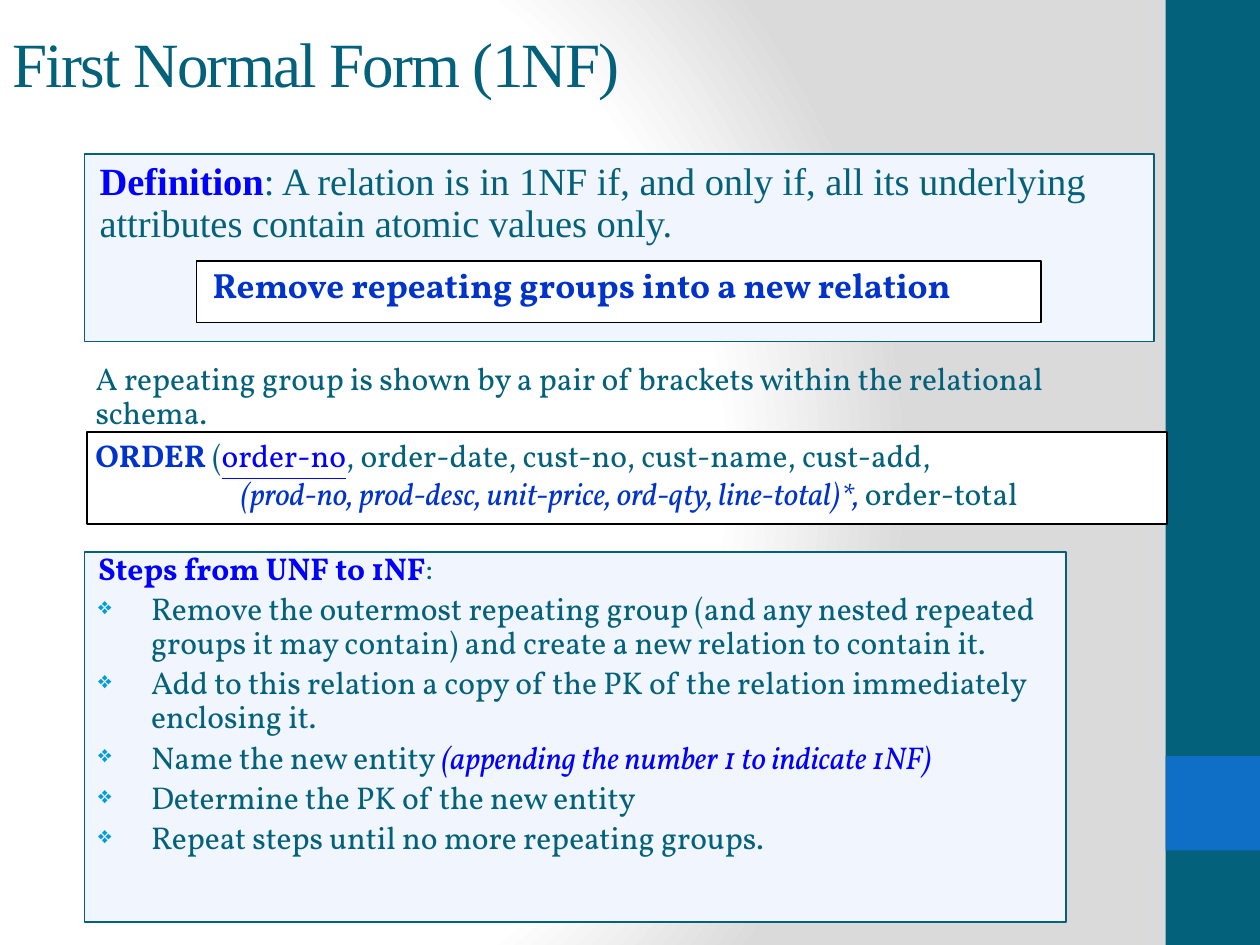
"""Builds the First Normal Form slide."""
from lxml import etree
from pptx import Presentation
from pptx.dml.color import RGBColor
from pptx.enum.shapes import MSO_SHAPE
from pptx.enum.text import MSO_ANCHOR, MSO_AUTO_SIZE, PP_ALIGN
from pptx.oxml import parse_xml
from pptx.oxml.ns import qn
from pptx.util import Inches, Pt

RECT = MSO_SHAPE.RECTANGLE
TOP, MID = MSO_ANCHOR.TOP, MSO_ANCHOR.MIDDLE
FIXED, GROW = MSO_AUTO_SIZE.NONE, MSO_AUTO_SIZE.SHAPE_TO_FIT_TEXT
LEFT = PP_ALIGN.LEFT
NS = "http://schemas.openxmlformats.org/drawingml/2006/main"

THEME = {
    "teal": "04617B", "band": "0F6FC6", "pale": "F0F5FE", "white": "FFFFFF",
    "black": "000000", "key": "0000FF", "navy": "0033CC", "mark": "009DD9",
    "serif": "Times New Roman", "body": "Vollkorn",
    "head": 36, "lead": 22, "rule": 20, "text": 18,
}
WIDE, HIGH, SIDE = 10, 7.5, 9.25
BOLD, ITAL, LINE = {"bold": True}, {"italic": True}, {"underline": True}

TITLE = [[("First Normal Form (1NF)", "teal", {})]]
DEFINE = [[
    ("Definition", "key", BOLD),
    (": A relation is in 1NF if, and only if, all its underlying "
     "attributes contain atomic values only.", "teal", {}),
]]
STEPS = [
    [("Steps from UNF to 1NF", "key", BOLD), (": ", "teal", {})],
    [("Remove the outermost repeating group (and any nested repeated groups "
      "it may contain) and create a new relation to contain it.", "teal", {})],
    [("Add to this relation a copy of the PK of the relation immediately "
      "enclosing it.", "teal", {})],
    [("Name the new entity ", "teal", {}),
     ("(appending the number 1 to indicate 1NF)", "key", ITAL)],
    [("Determine the PK of the new entity", "teal", {})],
    [("Repeat steps until no more repeating groups.", "teal", {})],
]
RULE = [[("Remove repeating groups into a new relation", "navy", BOLD)]]
NOTE = [[("A repeating group is shown by a pair of brackets within the "
          "relational schema.", "teal", {})]]
ORDER = [
    [("ORDER", "navy", BOLD), (" (", "teal", {}), ("order-no", "key", LINE),
     (", order-date, cust-no, cust-name, cust-add, ", "teal", {})],
    [("(prod-no, prod-desc, unit-price, ord-qty, line-total)*, ", "navy", ITAL),
     ("order-total", "teal", {})],
]

deck = Presentation()
deck.slide_width, deck.slide_height = Inches(WIDE), Inches(HIGH)
slide = deck.slides.add_slide(deck.slide_layouts[1])
tree = slide.shapes


def color(name):
    return RGBColor.from_string(THEME[name])


def place(shape, spot):
    for key, val in zip(("left", "top", "width", "height"), spot):
        setattr(shape, key, Inches(val))


def box(spot, fill, edge=None):
    shape = tree.add_shape(RECT, *map(Inches, spot))
    shape.shadow.inherit = False
    shape.fill.solid()
    shape.fill.fore_color.rgb = color(fill)
    if edge:
        shape.line.color.rgb = color(edge)
        shape.line.width = Pt(1)
    else:
        shape.line.fill.background()


def indent(para, left, hang=0, mark=None):
    prop = para._p.get_or_add_pPr()
    prop.set("marL", str(Inches(left)))
    prop.set("indent", str(-Inches(hang)))
    if mark:
        tint = etree.SubElement(prop, qn("a:buClr"))
        etree.SubElement(tint, qn("a:srgbClr"), val=THEME["mark"])
        etree.SubElement(prop, qn("a:buSzPct"), val="75000")
        etree.SubElement(prop, qn("a:buChar"), char=mark)
    else:
        etree.SubElement(prop, qn("a:buNone"))


def write(spot, paras, size, face="body", shape=None, fit=FIXED, anchor=TOP,
          wrap=True, space=None, gap=0):
    if shape is None:
        shape = tree.add_textbox(0, 0, 0, 0)
    else:
        tree._spTree.append(shape._element)
    place(shape, spot)
    frame = shape.text_frame
    look = {"word_wrap": wrap, "auto_size": fit, "vertical_anchor": anchor}
    for key, val in look.items():
        setattr(frame, key, val)
    for num, runs in enumerate(paras):
        para = frame.add_paragraph() if num else frame.paragraphs[0]
        form = {"alignment": LEFT, "line_spacing": space,
                "space_before": Pt(gap * THEME[size])}
        for key, val in form.items():
            setattr(para, key, val)
        for words, tone, style in runs:
            run = para.add_run()
            run.text = words
            font = {"name": THEME[face], "size": Pt(THEME[size]), **style}
            for key, val in font.items():
                setattr(run.font, key, val)
            run.font.color.rgb = color(tone)
    return frame.paragraphs


stops = "".join(f'<a:gs pos="{pos}"><a:srgbClr val="{tone}"/></a:gs>' for pos, tone in
                ((0, "FFFFFF"), (75000, "FFFFFF"), (100000, "DADADA")))
back = slide.background.fill
back.solid()
solid = slide._element.find(".//" + qn("p:bgPr")).find(qn("a:solidFill"))
solid.getparent().replace(solid, parse_xml(
    f'<a:gradFill xmlns:a="{NS}" rotWithShape="1"><a:gsLst>{stops}</a:gsLst>'
    '<a:path path="circle"><a:fillToRect l="20000" t="50000" r="100000" '
    'b="50000"/></a:path></a:gradFill>'))

title, body = tree.title, slide.placeholders[1]
box((SIDE, 0, WIDE - SIDE, HIGH), "teal")
box((SIDE, 6, WIDE - SIDE, 0.75), "band")
box((0.67, 1.22, 8.49, 1.49), "pale", "teal")
head = write((0, 0, WIDE, 0.99), TITLE, "head", "serif", title, anchor=MID)
head[0].runs[0].font._element.set("spc", "-100")
lead = write((0.69, 1.24, 8.54, 1.17), DEFINE, "lead", "serif", body,
             space=0.9, gap=0.2)
indent(lead[0], 0)

box((0.67, 4.38, 7.79, 2.94), "pale", "teal")
steps = write((0.68, 4.34, 7.78, 2.94), STEPS, "text", space=0.9, gap=0.2)
for num, para in enumerate(steps):
    indent(para, 0.42, 0.42, "❖" if num else None)

box((1.56, 2.07, 6.7, 0.49), "white", "black")
write((1.59, 2.04, 6.2, 0.44), RULE, "rule", fit=GROW, wrap=False)
write((0.66, 2.83, 8.55, 0.65), NOTE, "text", fit=GROW, space=0.9)
box((0.69, 3.43, 8.57, 0.73), "white", "black")
order = write((0.66, 3.41, 8.76, 0.81), ORDER, "text", fit=GROW)
indent(order[1], 1.15)

deck.save("out.pptx")
